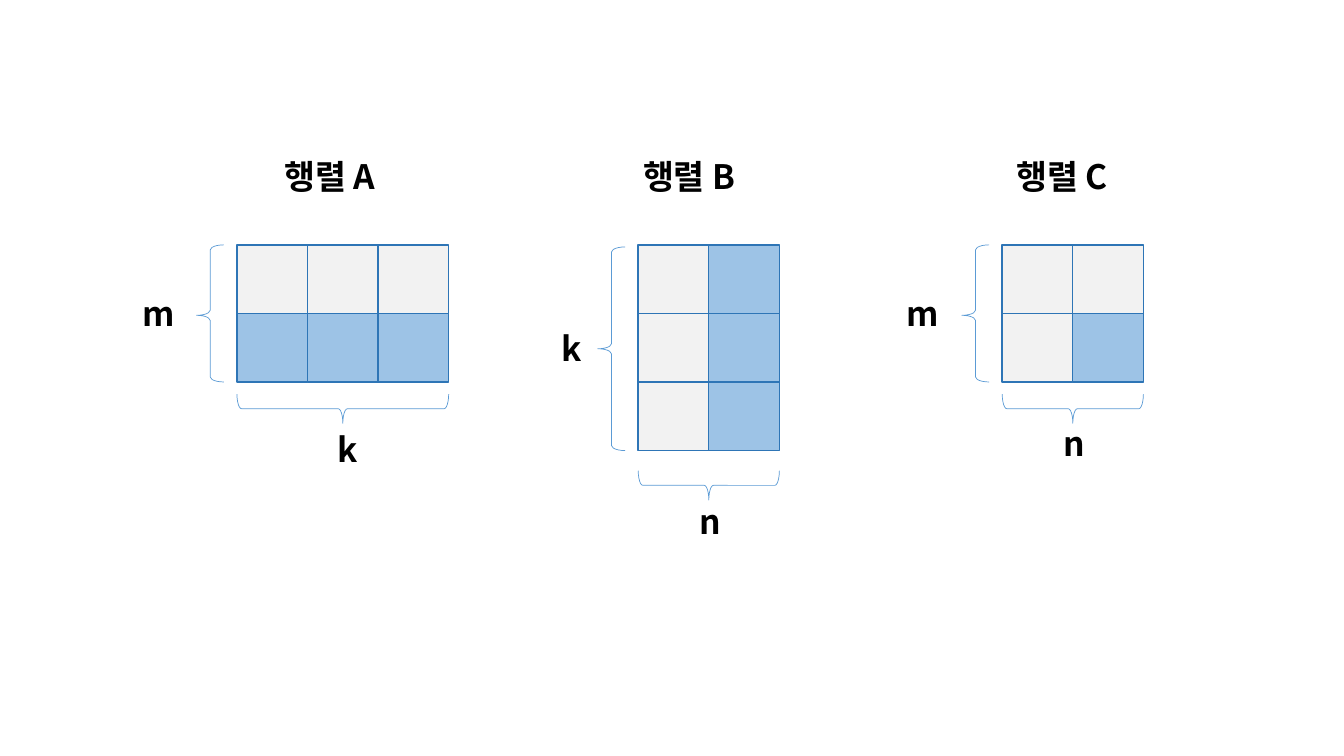
from lxml import etree
from pptx import Presentation
from pptx.dml.color import RGBColor
from pptx.enum import shapes, text
from pptx.oxml.ns import qn
from pptx.util import Inches, Pt

FONT = "Noto Sans CJK KR"
CELL_FILLS = {"0": "F2F2F2", "1": "9DC3E6"}
CELL_LINE, BRACE_LINE, TEXT = "2E75B6", "5B9BD5", "000000"
CELL_W, CELL_H = 0.7, 0.68
GRID_TOP, TITLE_TOP = 2.43, 1.5
SIDE_GAP, SIDE_W, BOTTOM_H = 0.4, 0.27, 0.29

# In each row of cells, 1 marks a highlighted cell.
# A label is (text, left, top).
MATRICES = [
    {"title": ("행렬 A", 2.72), "left": 2.35, "cells": ["000", "111"],
     "side": ("m", 1.32, 2.86), "bottom": ("k", 3.25, 4.21),
     "side_inset": 0, "side_point": 0.514, "bottom_gap": 0.12},
    {"title": ("행렬 B", 6.28), "left": 6.33, "cells": ["01", "01", "01"],
     "side": ("k", 5.47, 3.2), "bottom": ("n", 6.84, 4.92),
     "side_inset": 0.02, "side_point": 0.5, "bottom_gap": 0.2},
    {"title": ("행렬 C", 9.98), "left": 9.94, "cells": ["00", "01"],
     "side": ("m", 8.89, 2.86), "bottom": ("n", 10.45, 4.15),
     "side_inset": 0, "side_point": 0.514, "bottom_gap": 0.12},
]


def rgb(value):
    return RGBColor.from_string(value)


def add_outline(s, kind, box, line, width, fill=None):
    """Add a preset shape with a line and, if given, a fill."""
    sp = s.shapes.add_shape(kind, *map(Inches, box))
    sp.shadow.inherit = False
    sp.line.color.rgb = rgb(line)
    sp.line.width = Pt(width)
    if fill:
        sp.fill.solid()
        sp.fill.fore_color.rgb = rgb(fill)
    else:
        sp.fill.background()
    return sp


def add_label(s, words, left, top, width=0.66):
    sp = s.shapes.add_textbox(*map(Inches, (left, top, width, 0.5)))
    tf = sp.text_frame
    tf.word_wrap = True
    tf.auto_size = text.MSO_AUTO_SIZE.SHAPE_TO_FIT_TEXT
    p = tf.paragraphs[0]
    p.text = words
    font = p.font
    font.name, font.size, font.bold = FONT, Pt(24), True
    font.color.rgb = rgb(TEXT)
    # Korean letters take the East Asian typeface.
    props = p._p.pPr.find(qn("a:defRPr"))
    etree.SubElement(props, qn("a:ea")).set("typeface", FONT)


def add_matrix(s, m):
    left, cells = m["left"], m["cells"]
    width, height = CELL_W * len(cells[0]), CELL_H * len(cells)
    for i, row in enumerate(cells):
        for j, mark in enumerate(row):
            box = (left + j * CELL_W, GRID_TOP + i * CELL_H, CELL_W, CELL_H)
            add_outline(s, shapes.MSO_SHAPE.RECTANGLE, box, CELL_LINE, 1,
                        CELL_FILLS[mark])

    inset = m["side_inset"]
    box = (left - SIDE_GAP, GRID_TOP + inset, SIDE_W, height - inset)
    sp = add_outline(s, shapes.MSO_SHAPE.LEFT_BRACE, box, BRACE_LINE, 0.5)
    sp.adjustments[0] = 0.186
    sp.adjustments[1] = m["side_point"]

    # The bottom brace is drawn upright about its centre, then turned.
    x = left + width / 2
    y = GRID_TOP + height + m["bottom_gap"] + BOTTOM_H / 2
    box = (x - BOTTOM_H / 2, y - width / 2, BOTTOM_H, width)
    sp = add_outline(s, shapes.MSO_SHAPE.RIGHT_BRACE, box, BRACE_LINE, 0.5)
    sp.rotation = 90
    sp.adjustments[0] = 0.157

    add_label(s, *m["side"])
    add_label(s, *m["bottom"])
    add_label(s, *m["title"], TITLE_TOP, 1.4)


def main():
    prs = Presentation()
    prs.slide_width, prs.slide_height = Inches(13.33), Inches(7.5)
    s = prs.slides.add_slide(prs.slide_layouts[6])
    for m in MATRICES:
        add_matrix(s, m)
    prs.save("out.pptx")


if __name__ == "__main__":
    main()
